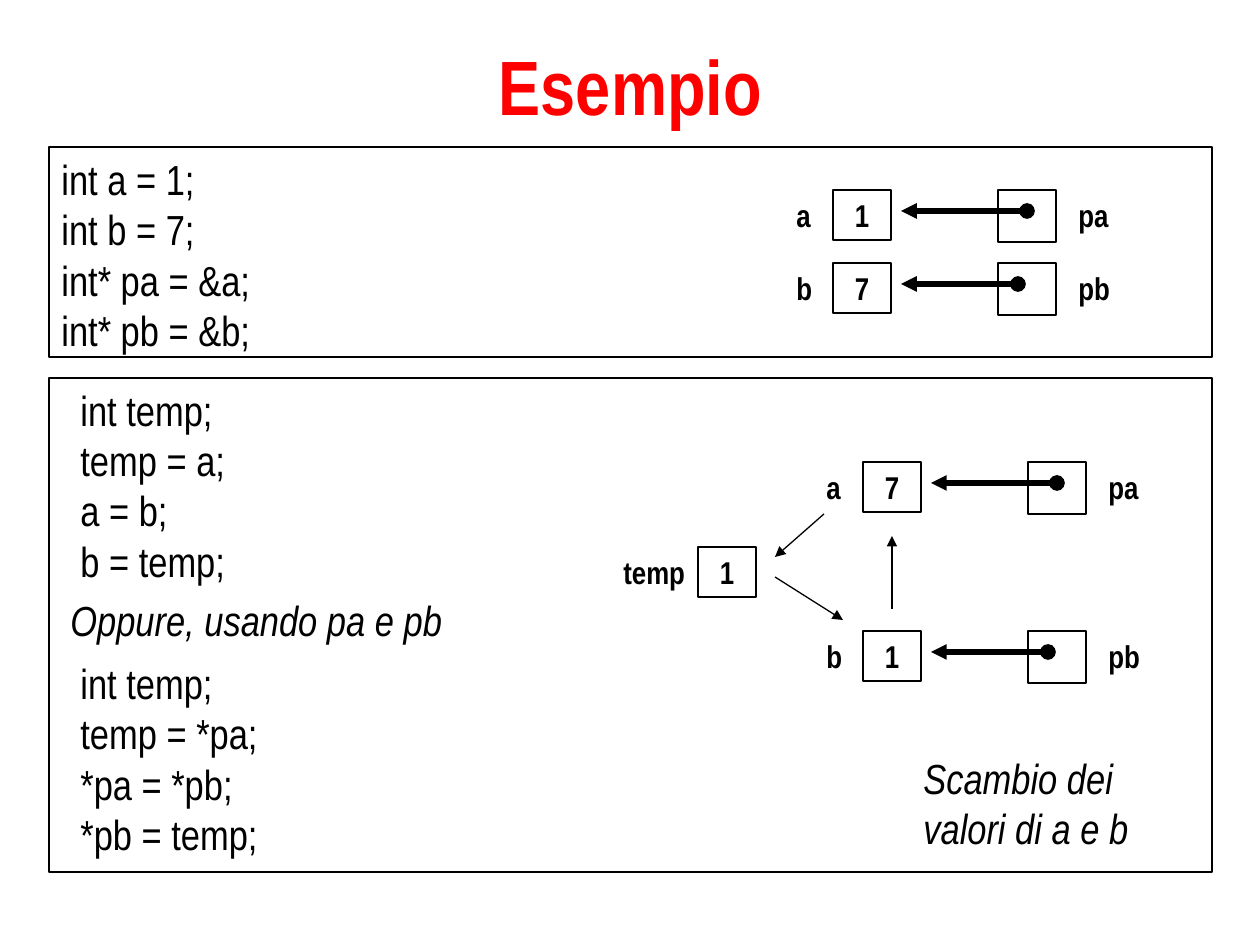
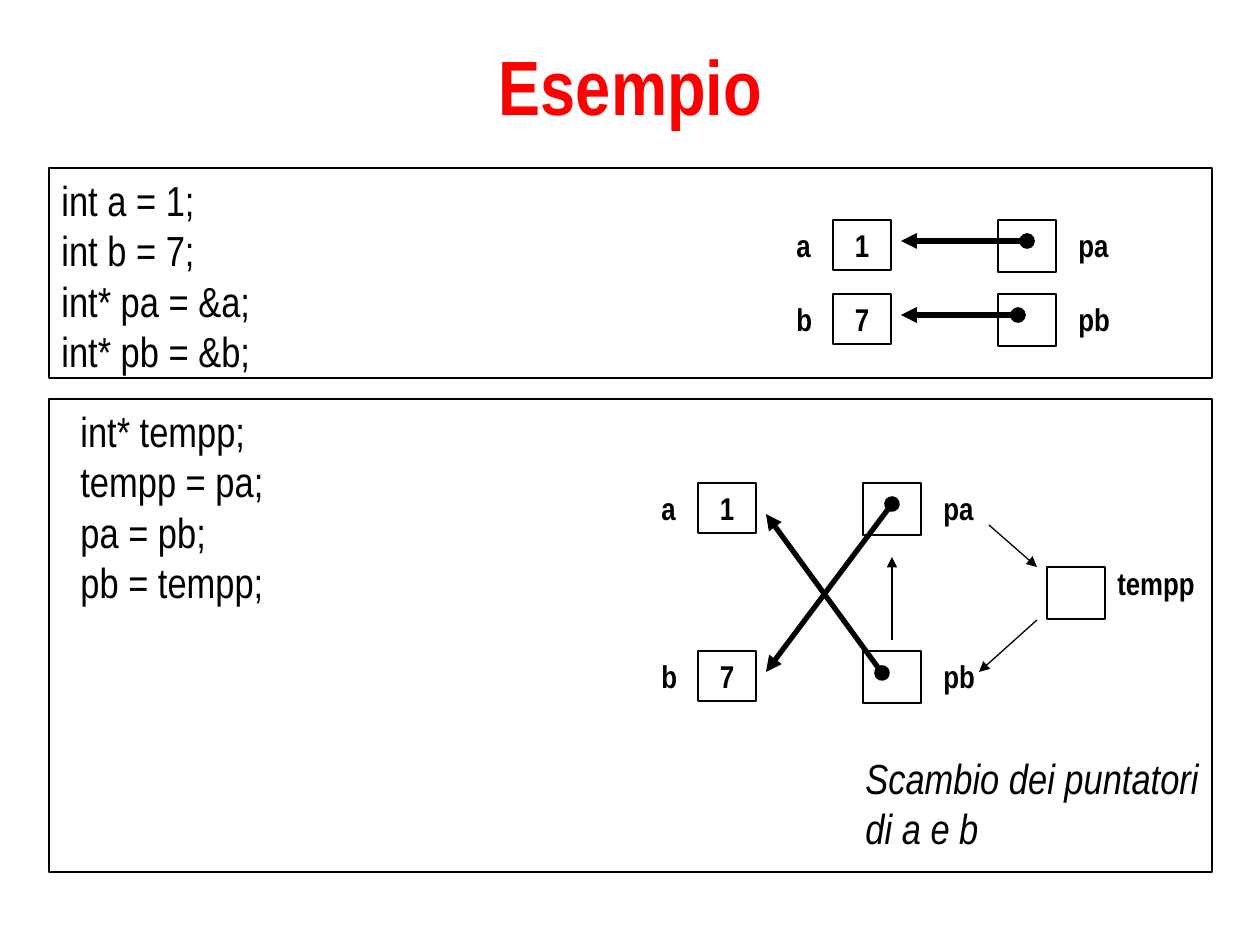
from dataclasses import dataclass
from pptx import Presentation
from pptx.dml.color import RGBColor
from pptx.enum.shapes import MSO_CONNECTOR, MSO_SHAPE
from pptx.enum.text import MSO_ANCHOR, MSO_AUTO_SIZE, PP_ALIGN
from pptx.oxml.ns import qn
from pptx.util import Emu, Pt
from lxml import etree

RECT, STRAIGHT = MSO_SHAPE.RECTANGLE, MSO_CONNECTOR.STRAIGHT
TOP, MIDDLE = MSO_ANCHOR.TOP, MSO_ANCHOR.MIDDLE
LEFT, CENTER = PP_ALIGN.LEFT, PP_ALIGN.CENTER
FIXED, GROW = MSO_AUTO_SIZE.NONE, MSO_AUTO_SIZE.SHAPE_TO_FIT_TEXT


@dataclass(frozen=True)
class Theme:
    font: str = "Arial Narrow"
    ink: RGBColor = RGBColor(0, 0, 0)
    paper: RGBColor = RGBColor(255, 255, 255)
    accent: RGBColor = RGBColor(255, 0, 0)
    title: float = 44
    body: float = 24
    label: float = 18
    label_gap: float = 11.2
    thin: float = 0.74
    thick: float = 3


T = Theme()
TITLE = "Esempio"
DECLARATIONS = ["int a = 1;", "int b = 7;", "int* pa = &a;", "int* pb = &b;"]

SLIDES = [
    {
        "panels": [(147, 210, DECLARATIONS, 0),
                   (378, 494, ["int temp;", "temp = a;", "a = b;", "b = temp;"], 19)],
        "texts": [
            ((49, 651, 359, 221),
             ["int temp;", "temp = *pa;", "*pa = *pb;", "*pb = temp;"],
             {"indent": 19}),
            ((911, 746, 300, 126), ["Scambio dei valori di a e b"], {"italic": True}),
            ((58, 588, 465, 73), ["Oppure, usando pa e pb"], {"italic": True}),
        ],
        "variables": [(833, 190, "a", "1"), (833, 263, "b", "7"),
                      (863, 462, "a", "7"), (863, 631, "b", "1")],
        "temporary": {"box": (698, 547), "label": (611, 547), "name": "temp", "value": "1"},
        "crossed": [],
        "steps": [(824, 514, 775, 557), (775, 577, 843, 620), (892, 609, 892, 536)],
    },
    {
        "panels": [(168, 210, DECLARATIONS, 0),
                   (399, 473, ["int* tempp;", "tempp = pa;", "pa = pb;", "pb = tempp;"], 19)],
        "texts": [
            ((853, 746, 359, 126), ["Scambio dei puntatori di a e b"], {"italic": True}),
        ],
        "variables": [(833, 220, "a", "1"), (833, 294, "b", "7"),
                      (698, 483, "a", "1"), (698, 651, "b", "7")],
        "temporary": {"box": (1047, 567), "label": (1105, 558), "name": "tempp", "value": ""},
        "crossed": [(892, 504, 766, 672), (882, 673, 766, 514)],
        "steps": [(989, 525, 1037, 567), (1037, 620, 979, 672), (892, 640, 892, 557)],
    },
]

PANEL_X, PANEL_W = 49, 1163
BOX_W, VALUE_H, POINTER_H = 58, 50, 52
NAME_W, TEMP_NAME_W = 77, 116
NAME_DX, POINTER_DX, POINTER_NAME_DX = -49, 165, 233
TIP_DX, ARROW_DY = 68, 21
DOT_DX = {"a": 194, "b": 185}


def px(n):
    return Emu(round(n * 914400 / 126))


def write(tf, lines, size=T.body, color=T.ink, bold=False, italic=False,
          align=LEFT, anchor=TOP, indent=0, before=0, fit=FIXED):
    tf.word_wrap = True
    tf.auto_size = fit
    tf.vertical_anchor = anchor
    for i, line in enumerate(lines):
        p = tf.add_paragraph() if i else tf.paragraphs[0]
        p.alignment = align
        p.space_before = Pt(before)
        if indent:
            p._p.get_or_add_pPr().set("marL", str(px(indent)))
        r = p.add_run()
        r.text = line
        r.font.name = T.font
        r.font.size = Pt(size)
        r.font.bold = bold
        r.font.italic = italic
        r.font.color.rgb = color


def add_text(s, at, lines, **fmt):
    write(s.shapes.add_textbox(*map(px, at)).text_frame, lines, **fmt)


def add_label(s, x, y, name, w=NAME_W):
    add_text(s, (x, y, w, VALUE_H), [name], size=T.label, bold=True,
             before=T.label_gap, fit=GROW)


def add_rect(s, at, filled=False):
    sp = s.shapes.add_shape(RECT, *map(px, at))
    sp.shadow.inherit = False
    if filled:
        sp.fill.solid()
        sp.fill.fore_color.rgb = T.paper
    else:
        sp.fill.background()
    sp.line.color.rgb = T.ink
    sp.line.width = Pt(T.thin)
    return sp


def add_box(s, x, y, value=""):
    sp = add_rect(s, (x, y, BOX_W, VALUE_H if value else POINTER_H))
    if value:
        write(sp.text_frame, [value], size=T.label, bold=True, align=CENTER,
              before=T.label_gap, fit=GROW)


def add_arrow(s, ends, pointer=False):
    c = s.shapes.add_connector(STRAIGHT, *map(px, ends))
    c.line.color.rgb = T.ink
    c.line.width = Pt(T.thick if pointer else T.thin)
    spPr = c.element.spPr
    ln = spPr.find(qn("a:ln"))
    if pointer:
        etree.SubElement(ln, qn("a:headEnd"), type="oval")
    etree.SubElement(ln, qn("a:tailEnd"), type="triangle")
    etree.SubElement(spPr, qn("a:effectLst"))


def add_variable(s, x, y, name, value):
    add_box(s, x, y, value)
    add_label(s, x + NAME_DX, y, name)
    add_box(s, x + POINTER_DX, y)
    add_label(s, x + POINTER_NAME_DX, y, "p" + name)


def add_title(s):
    sp = s.shapes.title
    sp.left, sp.top, sp.width, sp.height = map(px, (32, 32, 1197, 105))
    write(sp.text_frame, [TITLE], size=T.title, color=T.accent, bold=True,
          align=CENTER, anchor=MIDDLE)


def build(s, content):
    add_title(s)
    for y, h, lines, indent in content["panels"]:
        panel = add_rect(s, (PANEL_X, y, PANEL_W, h), filled=True)
        write(panel.text_frame, lines, indent=indent)
    for at, lines, fmt in content["texts"]:
        add_text(s, at, lines, **fmt)

    variables, crossed = content["variables"], content["crossed"]
    for variable in variables:
        add_variable(s, *variable)
    straight = variables[:2] if crossed else variables
    pointers = [(x + DOT_DX[name], y + ARROW_DY, x + TIP_DX, y + ARROW_DY)
                for x, y, name, value in straight]
    for ends in pointers + crossed:
        add_arrow(s, ends, pointer=True)

    temp = content["temporary"]
    add_box(s, *temp["box"], temp["value"])
    add_label(s, *temp["label"], temp["name"], TEMP_NAME_W)
    for ends in content["steps"]:
        add_arrow(s, ends)


prs = Presentation()
prs.slide_width, prs.slide_height = px(1260), px(945)
for content in SLIDES:
    build(prs.slides.add_slide(prs.slide_layouts[5]), content)
prs.save("out.pptx")
